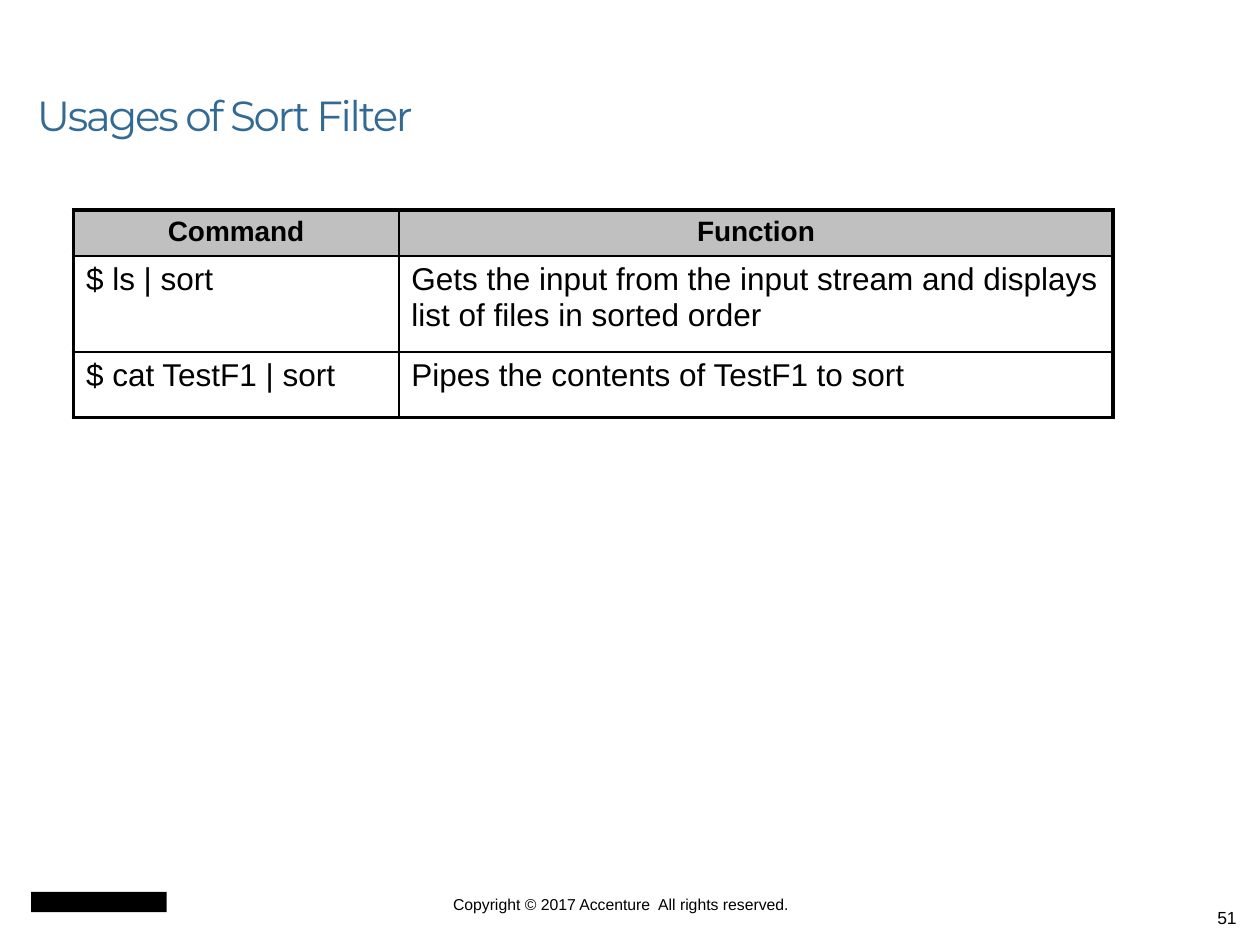
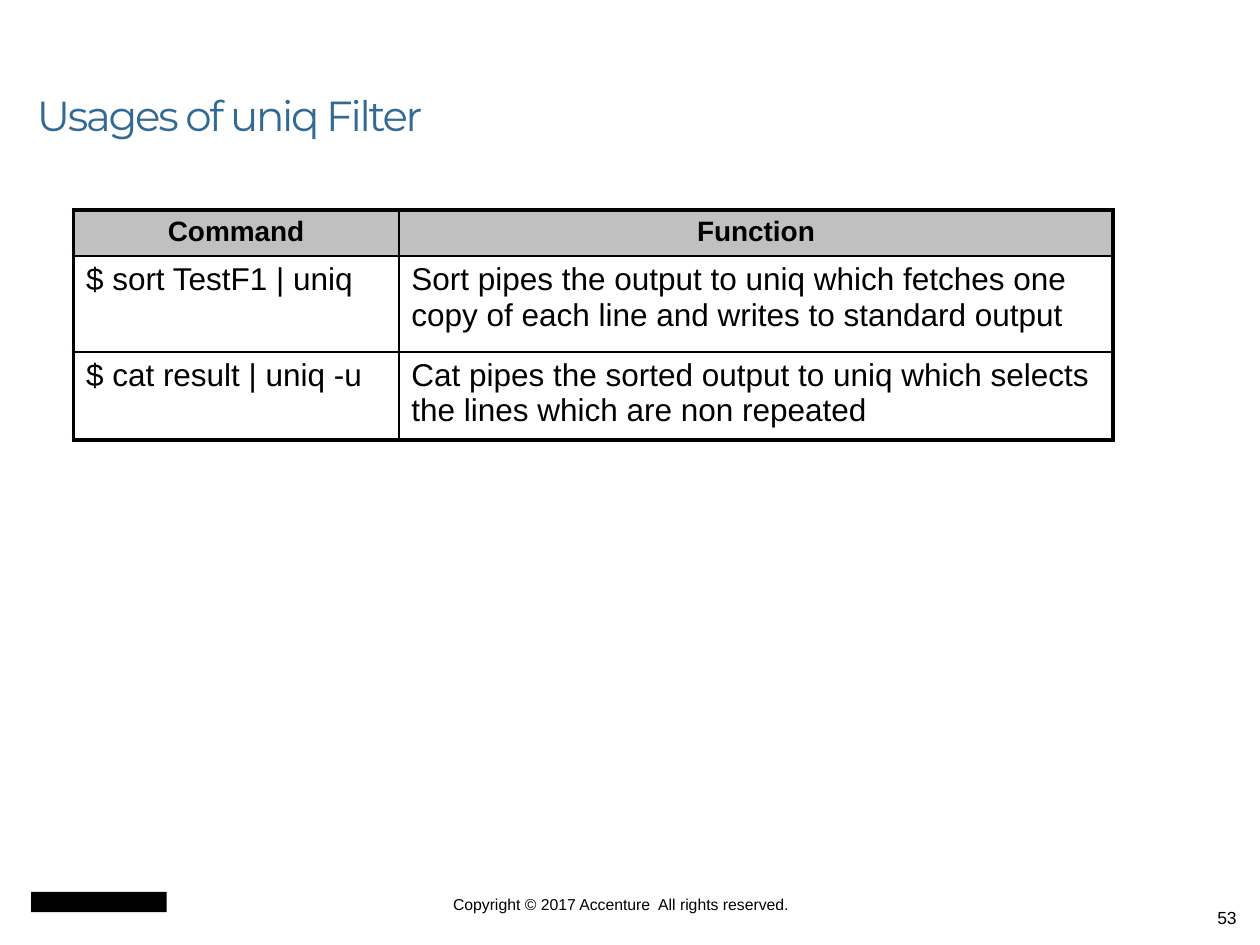
from lxml import etree
from pptx import Presentation
from pptx.dml.color import RGBColor
from pptx.enum.shapes import MSO_SHAPE
from pptx.enum.text import MSO_ANCHOR, MSO_AUTO_SIZE, PP_ALIGN
from pptx.oxml.ns import qn
from pptx.util import Cm, Pt

LEFT, CENTER, RIGHT = PP_ALIGN.LEFT, PP_ALIGN.CENTER, PP_ALIGN.RIGHT
BOTTOM = MSO_ANCHOR.BOTTOM
NO_AUTOFIT = MSO_AUTO_SIZE.NONE
RECTANGLE = MSO_SHAPE.RECTANGLE

COLORS = {"title": "326A94", "text": "000000", "border": "000000",
          "header": "C0C0C0", "mark": "000000"}
BODY_FONT, TITLE_FONT = "Arial", "Montserrat"

COPYRIGHT = "Copyright © 2017 Accenture  All rights reserved."
HEADER = ("Command", "Function")
FILTERS = [
    {
        "title": "Usages of Sort Filter",
        "page": "51",
        "usages": [
            ("$ ls | sort",
             "Gets the input from the input stream and displays "
             "list of files in sorted order"),
            ("$ cat TestF1 | sort", "Pipes the contents of TestF1 to sort"),
        ],
        "row_heights": (0.92, 1.93, 1.32),
    },
    {
        "title": "Usages of uniq Filter",
        "page": "53",
        "usages": [
            ("$ sort TestF1 | uniq",
             "Sort pipes the output to uniq which fetches one "
             "copy of each line and writes to standard output"),
            ("$ cat result | uniq -u",
             "Cat pipes the sorted output to uniq which selects "
             "the lines which are non repeated"),
        ],
        "row_heights": (0.92, 1.93, 1.78),
    },
]

COLUMN_WIDTHS = (6.56, 14.4)
OUTER_BORDER, INNER_BORDER = Pt(2.25), Pt(1)


def color(name):
    return RGBColor.from_string(COLORS[name])


def write(frame, text, size, align, bold=False, font=BODY_FONT, ink="text"):
    paragraph = frame.paragraphs[0]
    paragraph.alignment = align
    run = paragraph.add_run()
    run.text = text
    run.font.size = Pt(size)
    run.font.name = font
    run.font.bold = bold
    run.font.color.rgb = color(ink)
    return paragraph, run


def add_title(slide, text):
    title = slide.shapes.title
    title.left, title.top, title.width, title.height = (
        Cm(0.49), Cm(0.43), Cm(22.66), Cm(2.54))
    frame = title.text_frame
    frame.auto_size = NO_AUTOFIT
    frame.vertical_anchor = BOTTOM
    paragraph, run = write(frame, text, 24, LEFT, font=TITLE_FONT, ink="title")
    paragraph.line_spacing = 0.9
    run.font._element.set("spc", "-130")


def add_footer(slide, page):
    mark = slide.shapes.add_shape(RECTANGLE, Cm(0.63), Cm(17.98), Cm(2.73), Cm(0.41))
    mark.shadow.inherit = False
    mark.fill.solid()
    mark.fill.fore_color.rgb = color("mark")
    mark.line.fill.background()

    notice = slide.shapes.add_textbox(Cm(6.98), Cm(18.03), Cm(11.07), Cm(0.38)).text_frame
    notice.word_wrap = True
    notice.margin_left = notice.margin_right = notice.margin_top = notice.margin_bottom = 0
    write(notice, COPYRIGHT, 9, CENTER)

    number = slide.shapes.add_textbox(Cm(19.26), Cm(18.16), Cm(5.92), Cm(0.7)).text_frame
    number.word_wrap = True
    write(number, page, 10, RIGHT)


def draw_borders(cell, outer_sides):
    properties = cell._tc.get_or_add_tcPr()
    for side in "LRTB":
        width = OUTER_BORDER if side in outer_sides else INNER_BORDER
        line = etree.SubElement(properties, qn(f"a:ln{side}"), w=str(int(width)))
        fill = etree.SubElement(line, qn("a:solidFill"))
        etree.SubElement(fill, qn("a:srgbClr"), val=COLORS["border"])


def add_usage_table(slide, usages, row_heights):
    rows = [HEADER, *usages]
    table = slide.shapes.add_table(
        len(rows), len(HEADER), Cm(1.48), Cm(4.23),
        Cm(sum(COLUMN_WIDTHS)), Cm(sum(row_heights))).table
    table.first_row = table.horz_banding = False
    for column, width in zip(table.columns, COLUMN_WIDTHS):
        column.width = Cm(width)
    for row, height in zip(table.rows, row_heights):
        row.height = Cm(height)

    last_row, last_column = len(rows) - 1, len(HEADER) - 1
    for r, texts in enumerate(rows):
        for c, text in enumerate(texts):
            cell = table.cell(r, c)
            edges = {"L": c == 0, "R": c == last_column, "T": r == 0, "B": r == last_row}
            draw_borders(cell, [side for side, outer in edges.items() if outer])
            if r == 0:
                cell.fill.solid()
                cell.fill.fore_color.rgb = color("header")
                write(cell.text_frame, text, 16, CENTER, bold=True)
            else:
                cell.fill.background()
                write(cell.text_frame, text, 18, LEFT)


def main():
    deck = Presentation()
    deck.slide_width, deck.slide_height = Cm(25.4), Cm(19.05)
    title_only = deck.slide_layouts[5]
    for topic in FILTERS:
        slide = deck.slides.add_slide(title_only)
        add_footer(slide, topic["page"])
        add_title(slide, topic["title"])
        add_usage_table(slide, topic["usages"], topic["row_heights"])
    deck.save("out.pptx")


if __name__ == "__main__":
    main()
